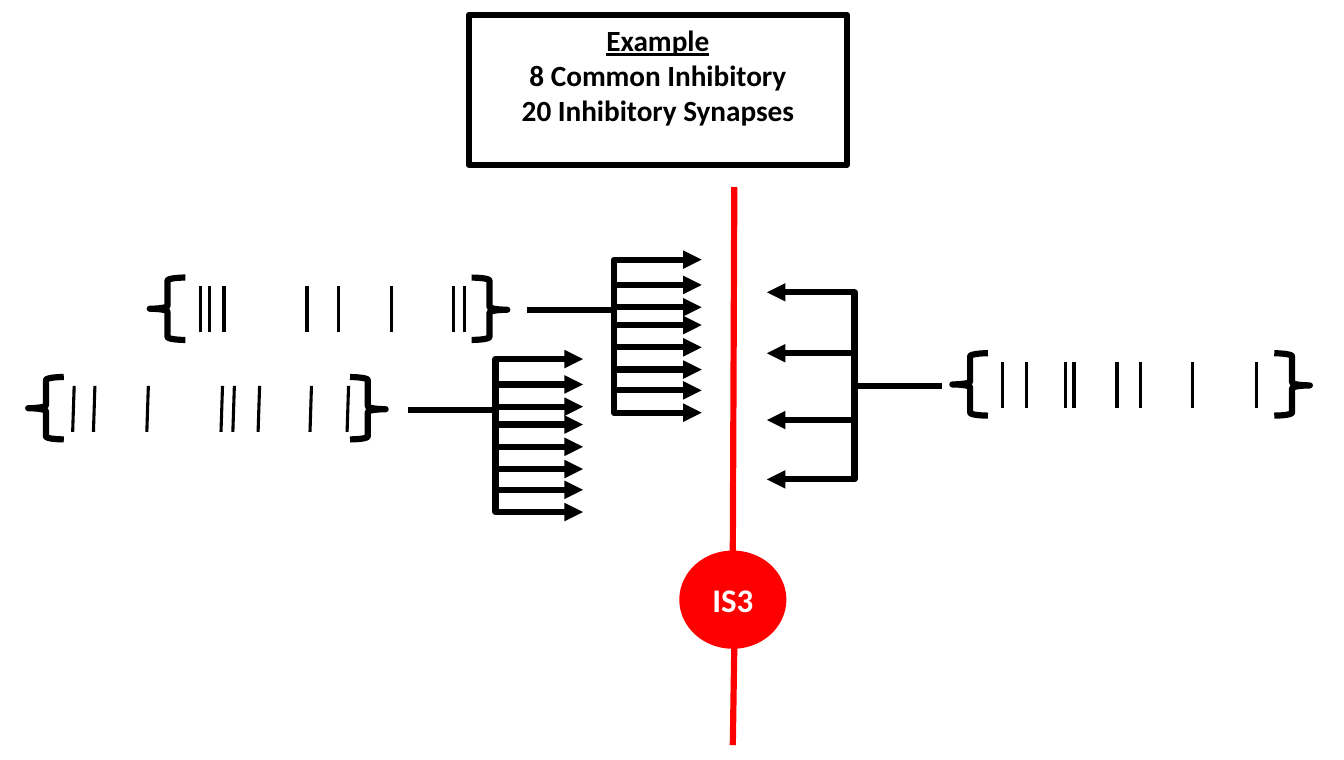
from lxml import etree
from pptx import Presentation
from pptx.dml.color import RGBColor
from pptx.enum.shapes import MSO_CONNECTOR, MSO_SHAPE
from pptx.enum.text import MSO_ANCHOR, PP_ALIGN
from pptx.oxml.ns import qn
from pptx.util import Inches, Pt

BLACK = RGBColor(0x00, 0x00, 0x00)
RED = RGBColor(0xFF, 0x00, 0x00)
WHITE = RGBColor(0xFF, 0xFF, 0xFF)
STRAIGHT, ELBOW = MSO_CONNECTOR.STRAIGHT, MSO_CONNECTOR.ELBOW
LEFT_BRACE, RIGHT_BRACE = MSO_SHAPE.LEFT_BRACE, MSO_SHAPE.RIGHT_BRACE
CENTER = PP_ALIGN.CENTER

presentation = Presentation()
presentation.slide_width = Inches(9.06)
presentation.slide_height = Inches(5.12)
slide = presentation.slides.add_slide(presentation.slide_layouts[6])


def add_line(start, end, color=BLACK, width=3, kind=STRAIGHT, arrow=False):
    connector = slide.shapes.add_connector(
        kind, *(Inches(value) for value in (*start, *end)))
    connector.line.color.rgb = color
    connector.line.width = Pt(width)
    properties = connector._element.spPr
    if arrow:
        outline = properties.find(qn("a:ln"))
        etree.SubElement(outline, qn("a:tailEnd"), type="triangle")
    etree.SubElement(properties, qn("a:effectLst"))
    return connector


def add_outlined_shape(kind, left, top, width, height, color=BLACK):
    shape = slide.shapes.add_shape(
        kind, Inches(left), Inches(top), Inches(width), Inches(height))
    shape.shadow.inherit = False
    shape.fill.background()
    shape.line.color.rgb = color
    shape.line.width = Pt(3)
    return shape


# IS3 cell with its dendrite and axon
cell = add_outlined_shape(MSO_SHAPE.OVAL, 4.6, 3.73, 0.68, 0.62, RED)
cell.fill.solid()
cell.fill.fore_color.rgb = RED
cell.text_frame.word_wrap = False
cell.text_frame.vertical_anchor = MSO_ANCHOR.MIDDLE
paragraph = cell.text_frame.paragraphs[0]
paragraph.alignment = CENTER
run = paragraph.add_run()
run.text = "IS3"
run.font.name = "Calibri"
run.font.size = Pt(16)
run.font.bold = True
run.font.color.rgb = WHITE

dendrite = add_line((4.95, 3.73), (4.95, 1.26), RED)
dendrite.begin_connect(cell, 0)
add_line((4.95, 4.35), (4.94, 5.02), RED)

# Example box
example_box = add_outlined_shape(MSO_SHAPE.RECTANGLE, 3.16, 0.1, 2.55, 1.01)
text_frame = example_box.text_frame
text_frame.word_wrap = True
text_frame.vertical_anchor = MSO_ANCHOR.TOP
example_lines = ["Example", "8 Common Inhibitory", "20 Inhibitory Synapses"]
for index, text in enumerate(example_lines):
    paragraph = text_frame.paragraphs[0] if index == 0 else text_frame.add_paragraph()
    paragraph.alignment = CENTER
    run = paragraph.add_run()
    run.text = text
    run.font.name = "Calibri"
    run.font.size = Pt(14.2)
    run.font.bold = True
    run.font.underline = index == 0
    run.font.color.rgb = BLACK

# Each input: brace left, stem y, stem start x, trunk x, arrow tip x,
# arrow offsets from the stem, spike positions, spike lean
EIGHT_ARROWS = [-0.34, -0.17, -0.02, 0.1, 0.25, 0.4, 0.54, 0.69]
FOUR_ARROWS = [-0.63, -0.22, 0.23, 0.63]
inputs = [
    (0.19, 2.76, 2.75, 3.34, 3.93, EIGHT_ARROWS,
     [0.49, 0.63, 0.99, 1.49, 1.57, 1.74, 2.09, 2.34], 0.01),
    (1.01, 2.09, 3.55, 4.14, 4.73, EIGHT_ARROWS,
     [1.35, 1.41, 1.51, 2.07, 2.28, 2.64, 3.06, 3.13], 0),
    (6.42, 2.6, 6.35, 5.76, 5.17, FOUR_ARROWS,
     [6.76, 6.92, 7.18, 7.24, 7.53, 7.69, 8.04, 8.47], 0),
]

for brace_left, stem_y, stem_x, trunk_x, tip_x, arrows, spikes, lean in inputs:
    brace_top = stem_y - 0.22
    add_outlined_shape(LEFT_BRACE, brace_left, brace_top, 0.24, 0.42)
    right_brace = add_outlined_shape(
        RIGHT_BRACE, brace_left + 2.17, brace_top, 0.24, 0.42)
    right_brace.adjustments[1] = 0.516

    for spike_x in spikes:
        add_line((spike_x, stem_y + 0.15), (spike_x + lean, stem_y - 0.16), width=1.5)

    for offset in (arrows[0], arrows[-1]):
        add_line((stem_x, stem_y), (tip_x, stem_y + offset), kind=ELBOW, arrow=True)
    for offset in arrows[1:-1]:
        arrow_y = stem_y + offset
        add_line((trunk_x, arrow_y), (tip_x, arrow_y), arrow=True)

presentation.save("out.pptx")
